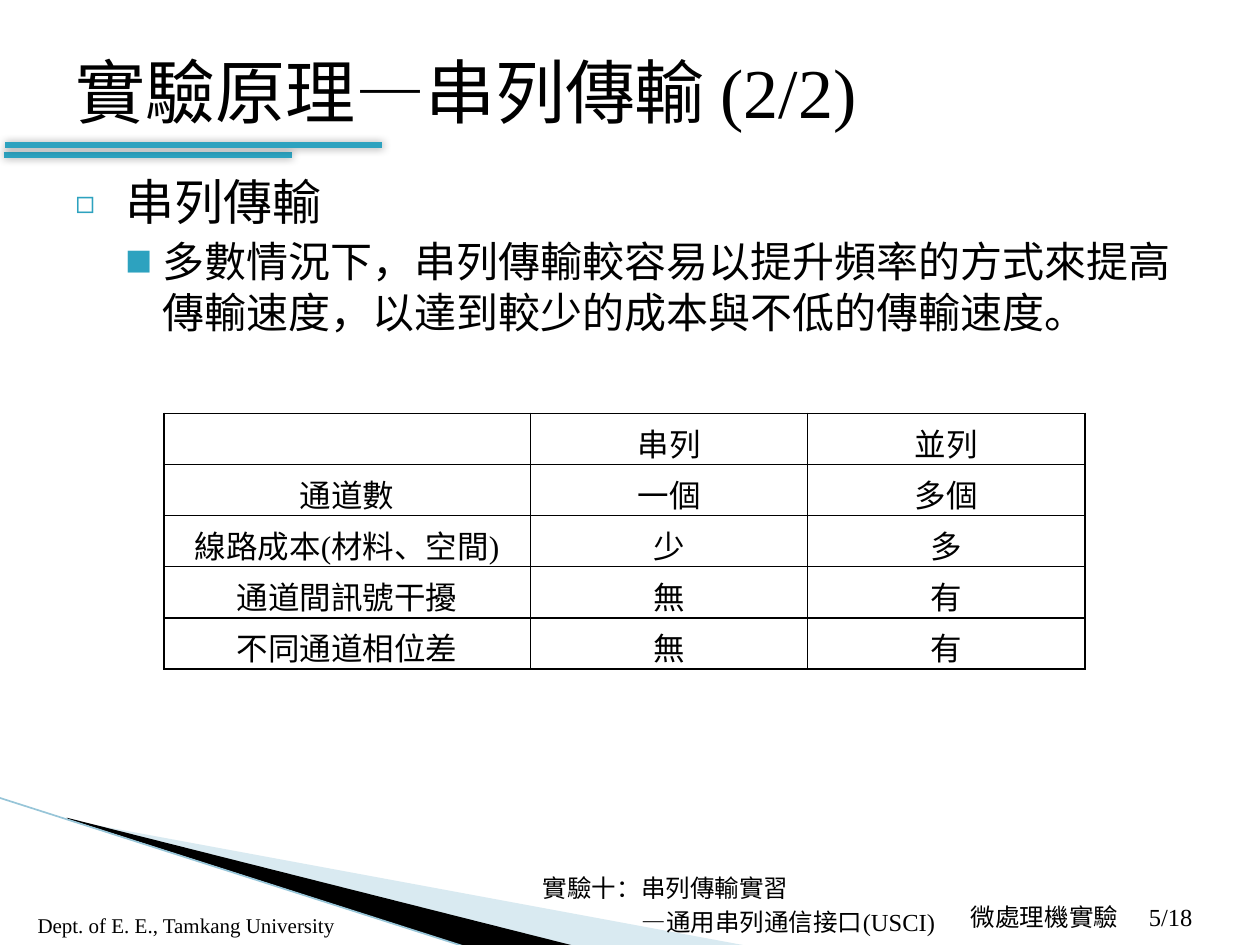
from dataclasses import dataclass

import lxml.etree
import pptx
import pptx.dml.color
import pptx.enum.dml
import pptx.enum.shapes
import pptx.enum.text
import pptx.oxml.ns
import pptx.util

ALIGN = pptx.enum.text.PP_ALIGN
ANCHOR = pptx.enum.text.MSO_ANCHOR
COLS, ROWS = 100, 75
LATIN, CJK = "Times New Roman", "Noto Sans CJK SC"
BLACK, TEAL, PALE, SKY = "000000", "2DA2BF", "A0CBDC", "97C5D8"

prs = pptx.Presentation()
prs.slide_width = pptx.util.Inches(10)
prs.slide_height = pptx.util.Inches(7.5)


@dataclass
class Box:
    col: float
    row: float
    cols: float
    rows: float


@dataclass
class Para:
    text: str
    size: float
    align: ALIGN = ALIGN.LEFT
    before: float = 0
    bullet: str = ""
    margin: float = 0
    indent: float = 0


@dataclass
class Label:
    box: Box
    paras: list[Para]
    anchor: ANCHOR = ANCHOR.TOP
    wrap: bool = True
    font: str = LATIN


@dataclass
class Stroke:
    start: tuple[float, float]
    end: tuple[float, float]
    color: str
    width: float
    shadow: bool = False


@dataclass
class Wedge:
    points: list[tuple[float, float]]
    color: str
    alpha: int = 100


def x(cols: float) -> int:
    return round(prs.slide_width * cols / COLS)


def y(rows: float) -> int:
    return round(prs.slide_height * rows / ROWS)


def place(b: Box) -> tuple[int, int, int, int]:
    return x(b.col), y(b.row), x(b.cols), y(b.rows)


def rgb(color: str) -> pptx.dml.color.RGBColor:
    return pptx.dml.color.RGBColor.from_string(color)


def add_xml(parent, tag: str, **attrs):
    el = lxml.etree.SubElement(parent, pptx.oxml.ns.qn(tag))
    for key, value in attrs.items():
        el.set(key, str(value))
    return el


def write(tf, paras: list[Para], font: str = LATIN) -> None:
    for i, para in enumerate(paras):
        p = tf.paragraphs[0] if i == 0 else tf.add_paragraph()
        p.text = para.text
        p.alignment = para.align
        p.space_before = pptx.util.Pt(para.before)
        if para.bullet:
            pPr = p._p.get_or_add_pPr()
            pPr.set("marL", str(x(para.margin)))
            pPr.set("indent", str(-x(para.indent)))
            add_xml(add_xml(pPr, "a:buClr"), "a:srgbClr", val=TEAL)
            add_xml(pPr, "a:buSzPct", val=65000)
            add_xml(pPr, "a:buFont", typeface=CJK)
            add_xml(pPr, "a:buChar", char=para.bullet)
        for r in p.runs:
            r.font.size = pptx.util.Pt(para.size)
            r.font.name = font
            r.font.color.rgb = rgb(BLACK)
            add_xml(r._r.get_or_add_rPr(), "a:ea", typeface=CJK)


def add_label(s, label: Label) -> None:
    tf = s.shapes.add_textbox(*place(label.box)).text_frame
    tf.word_wrap = label.wrap
    tf.vertical_anchor = label.anchor
    write(tf, label.paras, label.font)


def add_stroke(s, stroke: Stroke) -> None:
    (x1, y1), (x2, y2) = stroke.start, stroke.end
    line = s.shapes.add_connector(
        pptx.enum.shapes.MSO_CONNECTOR.STRAIGHT, x(x1), y(y1), x(x2), y(y2))
    line.line.color.rgb = rgb(stroke.color)
    line.line.width = pptx.util.Pt(stroke.width)
    effects = add_xml(line._element.spPr, "a:effectLst")
    if stroke.shadow:
        shadow = add_xml(effects, "a:outerShdw", blurRad=pptx.util.Pt(5), dist=0, dir=0)
        add_xml(add_xml(shadow, "a:srgbClr", val=BLACK), "a:alpha", val=40000)


def add_wedge(s, wedge: Wedge) -> None:
    points = [(x(col), y(row)) for col, row in wedge.points]
    builder = s.shapes.build_freeform(*points[0])
    builder.add_line_segments(points[1:], close=True)
    sp = builder.convert_to_shape()
    sp.shadow.inherit = False
    sp.line.fill.background()
    sp.fill.solid()
    sp.fill.fore_color.rgb = rgb(wedge.color)
    if wedge.alpha < 100:
        color = sp._element.spPr.find(".//" + pptx.oxml.ns.qn("a:srgbClr"))
        add_xml(color, "a:alpha", val=wedge.alpha * 1000)


def add_grid(s, box: Box, widths: list[float], rows: list[list[str]]) -> None:
    table = s.shapes.add_table(len(rows), len(widths), *place(box)).table
    table.first_row = table.horz_banding = False
    for column, width in zip(table.columns, widths):
        column.width = x(width)
    for i, texts in enumerate(rows):
        for j, text in enumerate(texts):
            cell = table.cell(i, j)
            write(cell.text_frame, [Para(text, 18, ALIGN.CENTER)])
            tcPr = cell._tc.get_or_add_tcPr()
            for side in ("a:lnL", "a:lnR", "a:lnT", "a:lnB"):
                ln = add_xml(tcPr, side, w=pptx.util.Pt(1))
                add_xml(add_xml(ln, "a:solidFill"), "a:srgbClr", val=BLACK)
            cell.fill.background()


STROKES = [
    Stroke((0.3, 12.3), (23.2, 12.3), TEAL, 3, True),
    Stroke((0.4, 11.5), (30.3, 11.5), TEAL, 3, True),
]
WEDGES = [
    Wedge([(5.5, 65.1), (59.5, 75.1), (45.6, 75.1), (5.5, 65)], PALE, 40),
    Wedge([(5.3, 64.9), (45.7, 75.1), (37.2, 75.2), (5.4, 65)], BLACK),
]
EDGE = Stroke((-0.1, 63.3), (37.1, 75.2), SKY, 0.95)
LABELS = [
    Label(Box(90.2, 71.1, 8.4, 3.3), [Para("5/18", 14)], ANCHOR.MIDDLE),
    Label(Box(2, 71.9, 26, 3), [Para("Dept. of E. E., Tamkang University", 12)], ANCHOR.MIDDLE),
    Label(Box(42.1, 68.8, 33.1, 6.2), [
        Para("實驗十：串列傳輸實習", 14, before=2.8),
        Para("—通用串列通信接口(USCI)", 14, ALIGN.RIGHT, 2.8)]),
    Label(Box(76, 71.1, 13.8, 3.4), [Para("微處理機實驗", 14, ALIGN.CENTER)], wrap=False, font=CJK),
    Label(Box(5, 13.1, 90, 52.6), [
        Para("串列傳輸", 28, before=4, bullet="◻", margin=4, indent=4),
        Para("多數情況下，串列傳輸較容易以提升頻率的方式來提高傳輸速度，以達到較少的成本與不低的傳輸速度。",
             24, before=3.2, bullet="■", margin=6.9, indent=2.9)]),
]
COMPARISON = [
    ["", "串列", "並列"],
    ["通道數", "一個", "多個"],
    ["線路成本(材料、空間)", "少", "多"],
    ["通道間訊號干擾", "無", "有"],
    ["不同通道相位差", "無", "有"],
]


def main() -> None:
    s = prs.slides.add_slide(prs.slide_layouts[5])
    title = s.shapes.title
    title.left, title.top, title.width, title.height = place(Box(5, 2.1, 90, 10.1))
    title.text_frame.vertical_anchor = ANCHOR.MIDDLE
    write(title.text_frame, [Para("實驗原理—串列傳輸 (2/2)", 40)])
    for stroke in STROKES:
        add_stroke(s, stroke)
    for wedge in WEDGES:
        add_wedge(s, wedge)
    add_stroke(s, EDGE)
    for label in LABELS:
        add_label(s, label)
    add_grid(s, Box(13, 32.8, 73.2, 20.3), [29.1, 22, 22], COMPARISON)
    prs.save("out.pptx")


if __name__ == "__main__":
    main()
